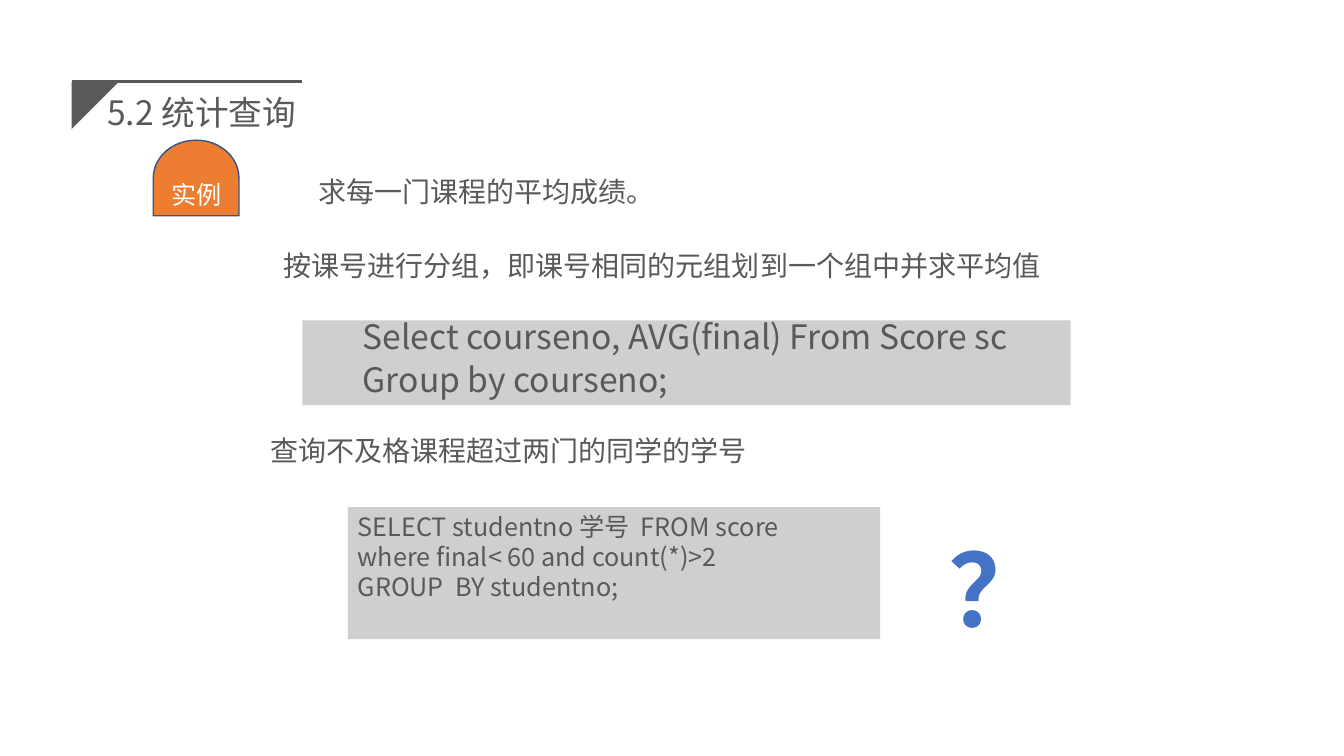
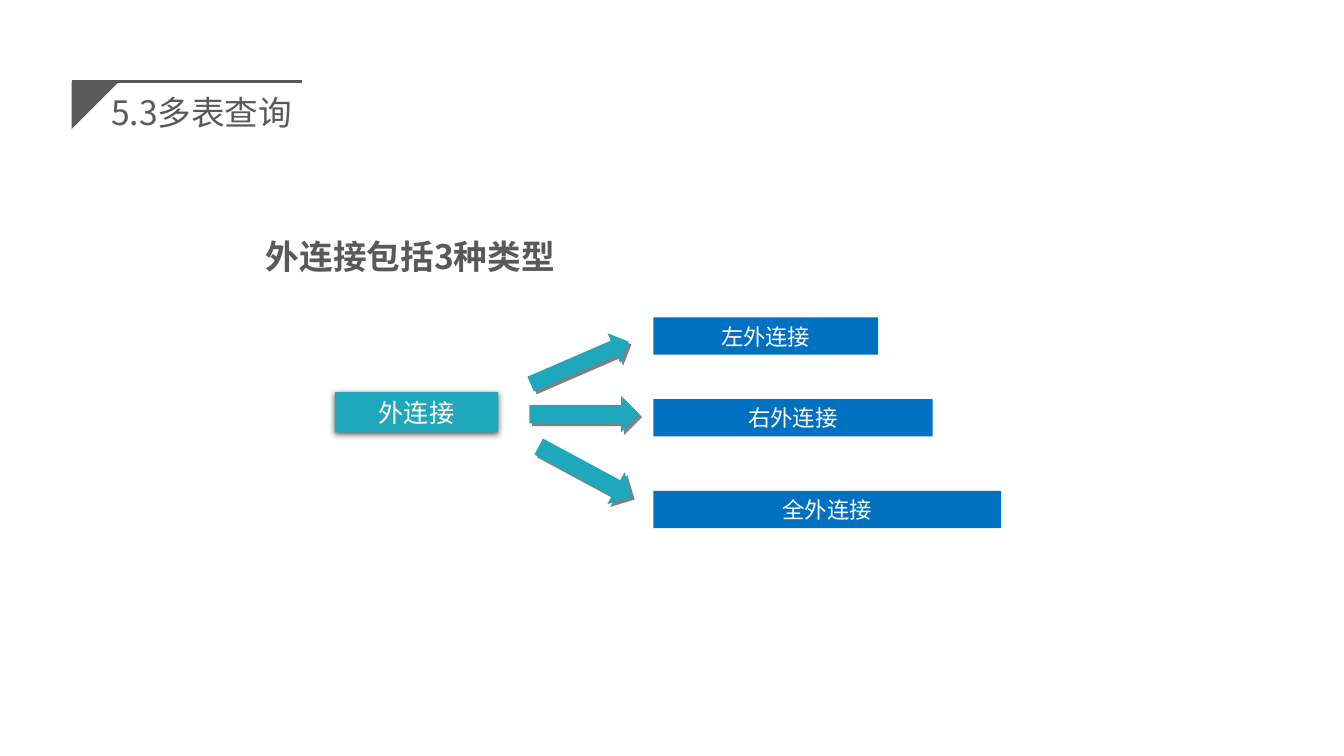
"""Build two SQL lesson slides: grouped statistics and the kinds of outer join."""
from dataclasses import dataclass

from lxml import etree
from pptx import Presentation
from pptx.dml.color import RGBColor
from pptx.enum.shapes import MSO_CONNECTOR, MSO_SHAPE
from pptx.enum.text import MSO_ANCHOR, MSO_AUTO_SIZE, PP_ALIGN
from pptx.oxml.ns import qn
from pptx.util import Inches, Pt

RECTANGLE, DELAY, ARROW = MSO_SHAPE.RECTANGLE, MSO_SHAPE.FLOWCHART_DELAY, MSO_SHAPE.RIGHT_ARROW
STRAIGHT = MSO_CONNECTOR.STRAIGHT
TOP, MIDDLE = MSO_ANCHOR.TOP, MSO_ANCHOR.MIDDLE
LEFT, CENTER = PP_ALIGN.LEFT, PP_ALIGN.CENTER
NO_AUTOFIT = MSO_AUTO_SIZE.NONE
TITLE_ONLY = 5


@dataclass(frozen=True)
class Theme:
    """Colours, fonts and type sizes of the deck."""
    ink: str = "595959"
    white: str = "FFFFFF"
    code_fill: str = "D0CECE"
    badge: str = "ED7D31"
    badge_line: str = "325491"
    question: str = "4472C4"
    teal: str = "1FA8BB"
    blue: str = "0070C0"
    font: str = "Noto Sans CJK SC"
    question_font: str = "Calibri"
    title: int = 24
    body: int = 20
    label: int = 18
    small: int = 16
    huge: int = 72


@dataclass(frozen=True)
class Shadow:
    """Outer shadow: opacity in percent, blur and distance in points, angle in degrees."""
    color: str
    opacity: int
    blur: float
    distance: float
    angle: int


THEME = Theme()
SOFT_SHADOW = Shadow("000000", 63, 4.5, 1.5, 90)
HARD_SHADOW = Shadow("808080", 100, 0, 2.8, 45)

STATISTICS_TITLE = "5.2 统计查询"
BADGE = "实例"
STATEMENTS = [
    ("求每一门课程的平均成绩。", (3.06, 1.65, 6.66, 0.5)),
    ("按课号进行分组，即课号相同的元组划到一个组中并求平均值", (2.71, 2.38, 7.91, 0.5)),
    ("查询不及格课程超过两门的同学的学号", (2.58, 4.22, 7.71, 0.5)),
]
AVERAGE_QUERY = ["Select courseno, AVG(final) From Score sc", "Group by courseno;"]
FAILED_QUERY = [
    "SELECT studentno 学号  FROM score",
    "where final< 60 and count(*)>2",
    "GROUP  BY studentno;",
]
QUESTION = "？"

JOIN_TITLE = "5.3多表查询"
JOIN_HEADING = "外连接包括3种类型"
JOIN_ROOT = "外连接"
JOIN_LEFT, JOIN_HEIGHT = 6.48, 0.37
JOINS = [("左外连接", 3.15, 2.23), ("右外连接", 3.96, 2.77), ("全外连接", 4.87, 3.45)]
ARROWS = [
    ((5.22, 3.44, 1.06, 0.32), -23.4),
    ((5.25, 3.93, 1.09, 0.36), 0),
    ((5.28, 4.5, 1.05, 0.36), 28.3),
]


def rgb(color):
    """Turn a hex string into a colour."""
    return RGBColor.from_string(color)


def inches(values):
    """Turn plain numbers into lengths."""
    return [Inches(value) for value in values]


def write(shape, lines, size, color=THEME.ink, bold=False, align=LEFT, anchor=TOP,
          font=THEME.font, spacing=None, gap=0, indent=0):
    """Fill a shape with evenly styled paragraphs."""
    frame = shape.text_frame
    frame.word_wrap = True
    frame.auto_size = NO_AUTOFIT
    frame.vertical_anchor = anchor
    frame.text = "\n".join(lines)
    for number, para in enumerate(frame.paragraphs):
        para.alignment = align
        para.space_before = Pt(gap if number else 0)
        if spacing:
            para.line_spacing = Pt(spacing)
        para.font.name = font
        para.font.size = Pt(size)
        para.font.bold = bold
        para.font.color.rgb = rgb(color)
        properties = para._p.pPr
        if indent:
            properties.set("marL", str(Inches(indent)))
            properties.set("indent", "0")
        etree.SubElement(properties.find(qn("a:defRPr")), qn("a:ea"), typeface=font)


def add_text(page, place, lines, size, **style):
    """Add a text box."""
    write(page.shapes.add_textbox(*inches(place)), lines, size, **style)


def paint(shape, fill, line=None, shadow=None):
    """Set fill, outline and shadow of a shape."""
    shape.fill.solid()
    shape.fill.fore_color.rgb = rgb(fill)
    if line:
        shape.line.color.rgb = rgb(line)
        shape.line.width = Pt(1)
    else:
        shape.line.fill.background()
    shape.shadow.inherit = False
    if shadow:
        effects = shape._element.spPr.find(qn("a:effectLst"))
        outer = etree.SubElement(
            effects, qn("a:outerShdw"), blurRad=str(Pt(shadow.blur)),
            dist=str(Pt(shadow.distance)), dir=str(shadow.angle * 60000), rotWithShape="0")
        color = etree.SubElement(outer, qn("a:srgbClr"), val=shadow.color)
        etree.SubElement(color, qn("a:alpha"), val=str(shadow.opacity * 1000))


def add_shape(page, kind, place, fill, rotation=0, **look):
    """Add a painted preset shape."""
    shape = page.shapes.add_shape(kind, *inches(place))
    shape.rotation = rotation
    paint(shape, fill, **look)
    return shape


def add_page(deck, title):
    """Add a slide with the shared title, corner and rule."""
    page = deck.slides.add_slide(deck.slide_layouts[TITLE_ONLY])
    heading = page.shapes.title
    heading.left, heading.top, heading.width, heading.height = inches((0.83, 0.69, 2.34, 0.84))
    write(heading, [title], THEME.title, align=CENTER, anchor=MIDDLE)

    left, top, side = inches((0.71, 0.81, 0.47))
    outline = page.shapes.build_freeform(left, top)
    outline.add_line_segments([(left + side, top), (left, top + side)], close=True)
    paint(outline.convert_to_shape(), THEME.ink)

    rule = page.shapes.add_connector(STRAIGHT, left, top, Inches(3), top)
    rule.line.color.rgb = rgb(THEME.ink)
    rule.line.width = Pt(1.75)
    etree.SubElement(rule._element.spPr, qn("a:effectLst"))
    return page


def build_statistics(deck):
    """Build the slide on grouped queries."""
    page = add_page(deck, STATISTICS_TITLE)
    add_shape(page, DELAY, (1.57, 1.34, 0.75, 0.85), THEME.badge, rotation=270,
              line=THEME.badge_line)
    add_text(page, (1.6, 1.73, 0.93, 0.4), [BADGE], THEME.label, color=THEME.white,
             anchor=MIDDLE)
    for text, place in STATEMENTS:
        add_text(page, place, [text], THEME.body, anchor=MIDDLE)
    average = add_shape(page, RECTANGLE, (3, 3.18, 7.62, 0.84), THEME.code_fill)
    write(average, AVERAGE_QUERY, THEME.title, spacing=22.3, gap=8.2, indent=0.5)
    failed = add_shape(page, RECTANGLE, (3.45, 5.03, 5.28, 1.31), THEME.code_fill)
    write(failed, FAILED_QUERY, THEME.label, spacing=21.4)
    add_text(page, (9.31, 5.18, 1.2, 1.31), [QUESTION], THEME.huge, color=THEME.question,
             bold=True, align=CENTER, font=THEME.question_font)


def build_joins(deck):
    """Build the slide on outer joins."""
    page = add_page(deck, JOIN_TITLE)
    add_text(page, (1.84, 2.29, 4.46, 0.5), [JOIN_HEADING], THEME.title, bold=True,
             align=CENTER, anchor=MIDDLE)
    root = add_shape(page, RECTANGLE, (3.32, 3.89, 1.62, 0.4), THEME.teal, shadow=SOFT_SHADOW)
    write(root, [JOIN_ROOT], THEME.label, color=THEME.white, align=CENTER, anchor=MIDDLE)
    for name, top, width in JOINS:
        bar = add_shape(page, RECTANGLE, (JOIN_LEFT, top, width, JOIN_HEIGHT), THEME.blue)
        write(bar, [name], THEME.small, color=THEME.white, align=CENTER, anchor=MIDDLE)
    for place, rotation in ARROWS:
        add_shape(page, ARROW, place, THEME.teal, rotation=rotation, shadow=HARD_SHADOW)


def main():
    """Build and save the deck."""
    deck = Presentation()
    deck.slide_width, deck.slide_height = inches((13.33, 7.5))
    build_statistics(deck)
    build_joins(deck)
    deck.save("out.pptx")


if __name__ == "__main__":
    main()
